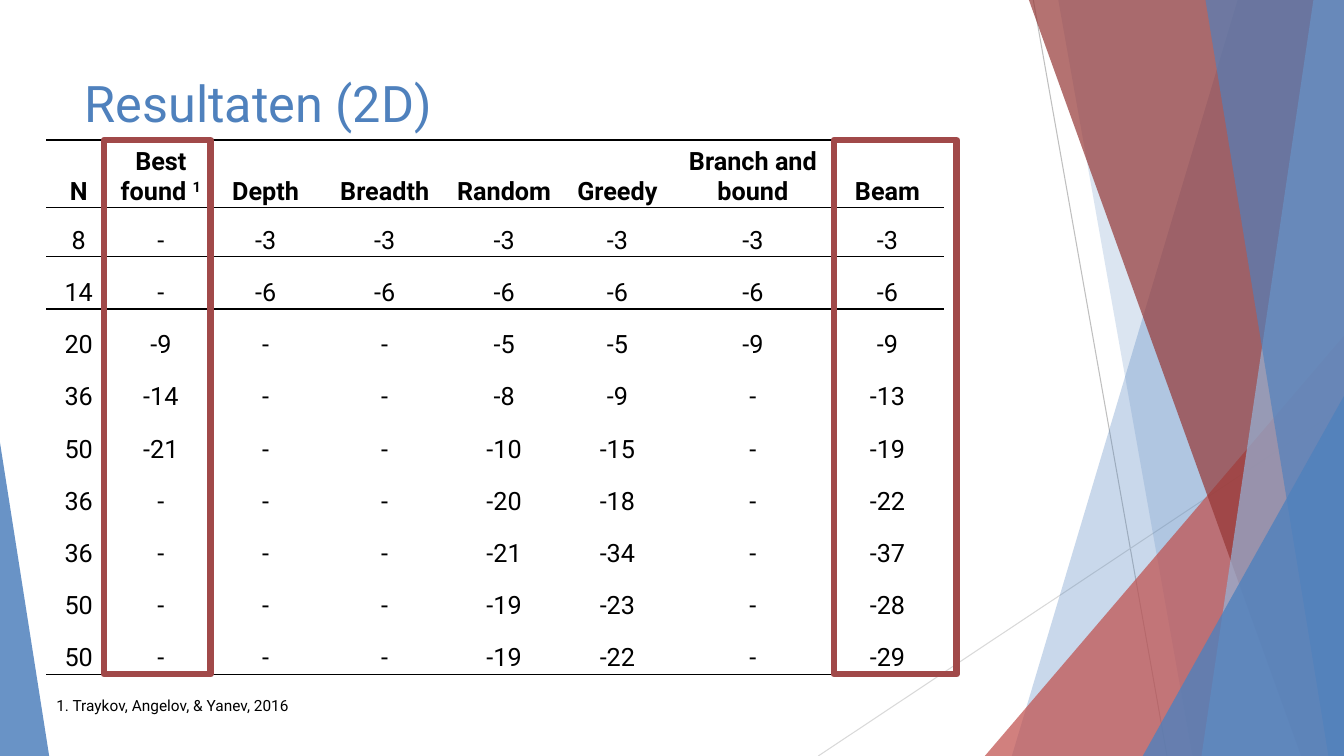
from lxml.etree import SubElement
from pptx import Presentation
from pptx.dml.color import RGBColor
from pptx.enum.shapes import MSO_CONNECTOR as Link, MSO_SHAPE as Shape
from pptx.enum.text import MSO_ANCHOR as Anchor, PP_ALIGN as Align
from pptx.oxml.ns import qn
from pptx.util import Cm, Pt

WIDE, HIGH = 33.87, 19.05
FONT = "Roboto"
PLAIN = "{2D5ABB26-0587-4C30-8999-92F81FD0307C}"
HUES = {
    "blue": "4F81BD", "pale": "95B3D7", "red": "C0504D", "dark": "953735",
    "frame": "A14949", "ink": "000000", "grey": "BFBFBF", "light": "D9D9D9",
}

HEAD = ["N", "Best found ", "Depth", "Breadth", "Random", "Greedy",
        "Branch and bound", "Beam"]
DATA = """8 - -3 -3 -3 -3 -3 -3
14 - -6 -6 -6 -6 -6 -6
20 -9 - - -5 -5 -9 -9
36 -14 - - -8 -9 - -13
50 -21 - - -10 -15 - -19
36 - - - -20 -18 - -22
36 - - - -21 -34 - -37
50 - - - -19 -23 - -28
50 - - - -19 -22 - -29"""
COLS = [1.63, 2.51, 2.77, 3.23, 2.79, 2.92, 3.91, 2.87]
LEFT, TOP, TALL = 1.17, 3.53, 13.46
ROWS = [1.7, 1.24] + [(TALL - 1.7 - 1.24) / 8] * 8


def tint(name):
    return RGBColor.from_string(HUES[name])


class Deck:
    """Holds the text style and the current slide."""

    def __init__(self):
        self.prs = Presentation()
        self.prs.slide_width, self.prs.slide_height = Cm(WIDE), Cm(HIGH)
        self.slide = self.prs.slides.add_slide(self.prs.slide_layouts[6])
        self.shapes = self.slide.shapes

    def put(self, para, text, size, hue="ink", **extra):
        """Add a styled run to a paragraph."""
        run = para.add_run()
        run.text = text
        look = {"name": FONT, "size": Pt(size), "bold": False, **extra}
        for key, value in look.items():
            setattr(run.font, key, value)
        run.font.color.rgb = tint(hue)
        return run

    def text(self, box, text, size, hue="ink", wrap=True):
        frame = self.shapes.add_textbox(*map(Cm, box)).text_frame
        frame.word_wrap = wrap
        self.put(frame.paragraphs[0], text, size, hue)

    def line(self, start, end, hue):
        link = self.shapes.add_connector(
            Link.STRAIGHT, *map(Cm, start + end))
        link.line.color.rgb = tint(hue)
        link.line.width = Pt(0.75)
        SubElement(link._element.spPr, qn("a:effectLst"))

    def paint(self, shape, hue, alpha):
        """Fill with a see-through colour, without line or shadow."""
        shape.shadow.inherit = False
        shape.line.fill.background()
        shape.fill.solid()
        shape.fill.fore_color.rgb = tint(hue)
        color = shape._element.spPr.find(".//" + qn("a:srgbClr"))
        SubElement(color, qn("a:alpha"), val=str(alpha * 1000))

    def band(self, top, foot, hue, alpha):
        """Fill the slide from a slanted left edge to the right side."""
        pen = self.shapes.build_freeform(Cm(top), 0)
        pen.add_line_segments([(Cm(WIDE), 0), (Cm(WIDE), Cm(HIGH)),
                               (Cm(foot), Cm(HIGH))])
        self.paint(pen.convert_to_shape(), hue, alpha)

    def wedge(self, left, top, width, peak, hue, alpha):
        """Place a right triangle on the bottom edge of the slide."""
        shape = self.shapes.add_shape(
            Shape.ISOSCELES_TRIANGLE,
            *map(Cm, (left, top, width, HIGH - top)))
        shape.adjustments[0] = peak
        self.paint(shape, hue, alpha)

    def frame(self, left, width):
        shape = self.shapes.add_shape(
            Shape.RECTANGLE, *map(Cm, (left, TOP, width, TALL)))
        shape.shadow.inherit = False
        shape.fill.background()
        shape.line.color.rgb = tint("frame")
        shape.line.width = Pt(4.5)

    def rule(self, cell, side):
        edge = SubElement(cell._tc.get_or_add_tcPr(), qn("a:" + side),
                          w=str(Pt(1)))
        fill = SubElement(edge, qn("a:solidFill"))
        SubElement(fill, qn("a:srgbClr"), val=HUES["ink"])

    def table(self, rows):
        grid = self.shapes.add_table(
            len(rows), len(COLS),
            *map(Cm, (LEFT, TOP, sum(COLS), TALL))).table
        grid.first_row = grid.horz_banding = False
        grid._tbl.tblPr.find(qn("a:tableStyleId")).text = PLAIN
        for col, width in zip(grid.columns, COLS):
            col.width = Cm(width)
        pad = dict.fromkeys(("margin_left", "margin_right", "margin_top",
                             "margin_bottom"), Cm(0.03))
        look = {**pad, "vertical_anchor": Anchor.BOTTOM}
        for i, row in enumerate(rows):
            grid.rows[i].height = Cm(ROWS[i])
            for j, text in enumerate(row):
                cell = grid.cell(i, j)
                for key, value in look.items():
                    setattr(cell, key, value)
                if i < 3:
                    self.rule(cell, "lnT")
                if i in (0, 1, len(rows) - 1):
                    self.rule(cell, "lnB")
                cell.fill.background()
                para = cell.text_frame.paragraphs[0]
                para.alignment = Align.CENTER
                self.put(para, text, 18, bold=i == 0)
        note = self.put(grid.cell(0, 1).text_frame.paragraphs[0],
                        "1", 18, bold=True)
        note._r.get_or_add_rPr().set("baseline", "30000")


def main():
    deck = Deck()
    deck.line((26.04, 0), (29.41, HIGH), "grey")
    deck.line((WIDE, 10.24), (20.62, HIGH), "light")
    deck.band(31.19, 25.5, "blue", 30)
    deck.band(26.67, 30.05, "blue", 20)
    deck.wedge(24.82, 8.46, 9.05, 1, "red", 72)
    deck.band(25.93, 32.79, "dark", 70)
    deck.band(33.1, 30.28, "pale", 70)
    deck.band(30.38, 33.48, "blue", 65)
    deck.wedge(28.8, 9.98, 5.07, 1, "blue", 80)
    deck.wedge(0, 11.15, 1.24, 0, "blue", 85)

    deck.text((1.88, 1.7, 23.88, 3.66), "Resultaten (2D)", 36, "blue")
    deck.table([HEAD] + [row.split() for row in DATA.splitlines()])
    deck.text((LEFT, 17.42, 6.78, 0.74),
              "1. Traykov, Angelov, & Yanev, 2016", 11, wrap=False)
    deck.frame(21.01, 3.1)
    deck.frame(2.62, 2.69)
    deck.prs.save("out.pptx")


if __name__ == "__main__":
    main()
